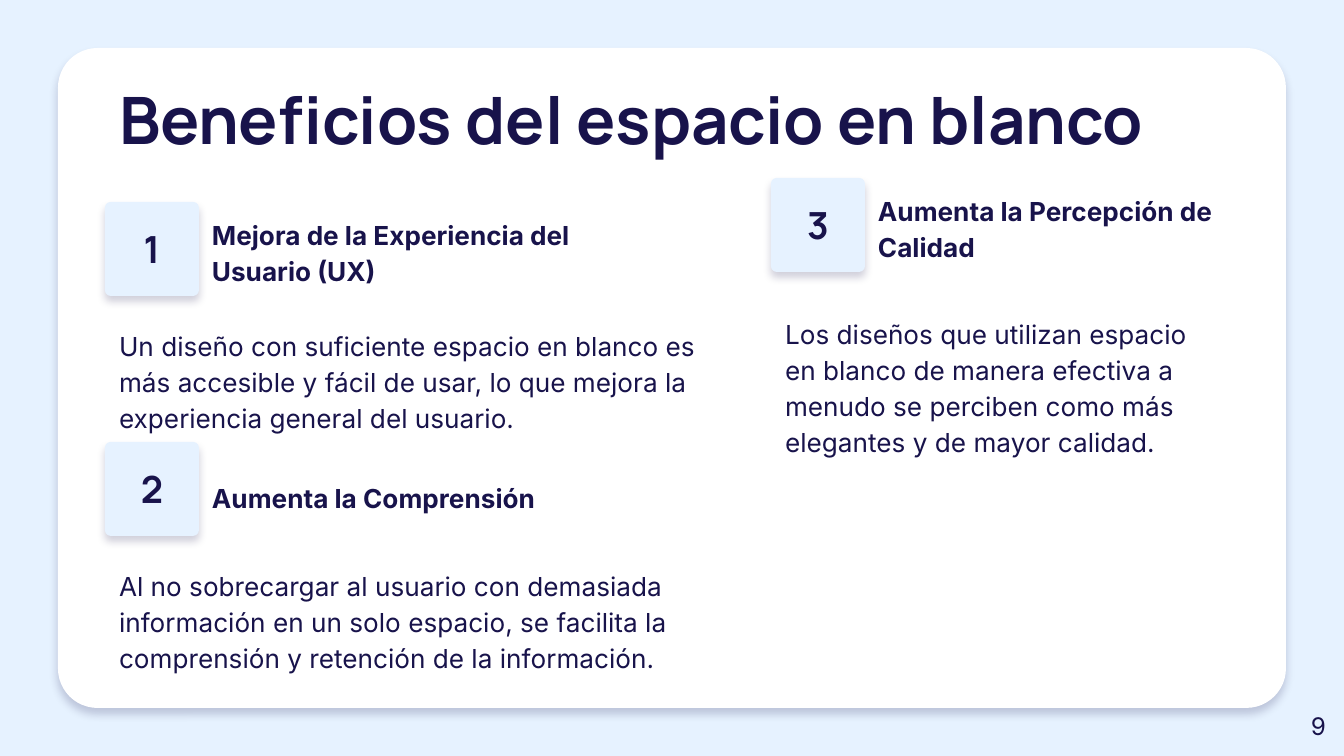
"""Builds a slide on the benefits of white space, with three numbered points."""
from lxml import etree
from pptx import Presentation
from pptx.dml.color import RGBColor
from pptx.enum.shapes import MSO_SHAPE
from pptx.enum.text import MSO_ANCHOR, MSO_AUTO_SIZE, PP_ALIGN
from pptx.oxml.ns import qn
from pptx.util import Emu, Pt

ROUNDED = MSO_SHAPE.ROUNDED_RECTANGLE
TOP, MIDDLE = MSO_ANCHOR.TOP, MSO_ANCHOR.MIDDLE
LEFT, CENTER, RIGHT = PP_ALIGN.LEFT, PP_ALIGN.CENTER, PP_ALIGN.RIGHT
NO_FIT = MSO_AUTO_SIZE.NONE

TITLE = "Beneficios del espacio en blanco"
PAGE_NUMBER = "9"
POINTS = [
    {"heading": "Mejora de la Experiencia del Usuario (UX)",
     "body": "Un diseño con suficiente espacio en blanco es más accesible y fácil de usar, "
             "lo que mejora la experiencia general del usuario.",
     "corner": (105, 202), "heading_drop": 0, "body_drop": 111, "body_width": 633},
    {"heading": "Aumenta la Comprensión",
     "body": "Al no sobrecargar al usuario con demasiada información en un solo espacio, "
             "se facilita la comprensión y retención de la información.",
     "corner": (105, 442), "heading_drop": 23, "body_drop": 111, "body_width": 633},
    {"heading": "Aumenta la Percepción de Calidad",
     "body": "Los diseños que utilizan espacio en blanco de manera efectiva a menudo se "
             "perciben como más elegantes y de mayor calidad.",
     "corner": (771, 178), "heading_drop": 0, "body_drop": 123, "body_width": 466},
]

INK, SKY, WHITE = "18134B", "E6F2FF", "FFFFFF"
DISPLAY_FONT, TEXT_FONT = "Manrope", "Inter"
PAGE_SIZE = (1344, 756)
BADGE = 94
INSET = 13


def px(length):
    return Emu(round(length * 914400 / 134.4))


def color(value):
    return RGBColor.from_string(value)


def write(shape, text, size, font=TEXT_FONT, bold=False, align=LEFT, anchor=TOP,
          line_spacing=1.0, space_after=0):
    frame = shape.text_frame
    frame.text = text
    frame.word_wrap = True
    frame.auto_size = NO_FIT
    frame.vertical_anchor = anchor
    frame.margin_left = frame.margin_right = px(INSET)
    frame.margin_top = frame.margin_bottom = px(INSET)
    para = frame.paragraphs[0]
    para.alignment = align
    para.line_spacing = line_spacing
    para.space_before = Pt(0)
    para.space_after = Pt(space_after)
    span = para.runs[0].font
    span.name, span.size, span.bold = font, Pt(size), bold
    span.color.rgb = color(INK)


def add_text(page, bounds, text, size, **style):
    box = page.shapes.add_textbox(*map(px, bounds))
    write(box, text, size, **style)


def add_panel(page, bounds, fill, shadow_distance):
    panel = page.shapes.add_shape(ROUNDED, *map(px, bounds))
    panel.adjustments[0] = 0.06
    panel.fill.solid()
    panel.fill.fore_color.rgb = color(fill)
    panel.line.fill.background()
    panel.shadow.inherit = False
    effects = panel.element.spPr.find(qn("a:effectLst"))
    shadow = etree.SubElement(
        effects, qn("a:outerShdw"), blurRad=str(Pt(4.5)), dist=str(Pt(shadow_distance)),
        dir="5400000", algn="bl", rotWithShape="0")
    tint = etree.SubElement(shadow, qn("a:srgbClr"), val=INK)
    etree.SubElement(tint, qn("a:alpha"), val="20000")
    return panel


def add_point(page, number, point):
    left, top = point["corner"]
    badge = add_panel(page, (left, top, BADGE, BADGE), SKY, 3)
    write(badge, str(number), 20, font=DISPLAY_FONT, bold=True, align=CENTER, anchor=MIDDLE)
    add_text(page, (left + BADGE, top + point["heading_drop"], 427, 47),
             point["heading"], 14, bold=True, line_spacing=1.15)
    add_text(page, (left + 1, top + point["body_drop"], point["body_width"], 113),
             point["body"], 14, line_spacing=1.15, space_after=10)


def main():
    deck = Presentation()
    deck.slide_width, deck.slide_height = map(px, PAGE_SIZE)
    page = deck.slides.add_slide(deck.slide_layouts.get_by_name("Title Only"))
    page.background.fill.solid()
    page.background.fill.fore_color.rgb = color(SKY)

    card = add_panel(page, (58, 48, 1228, 660), WHITE, 3.8)
    title = page.shapes.title
    title.element.addprevious(card.element)
    title.left, title.top, title.width, title.height = map(px, (106, 66, 1133, 85))
    write(title, TITLE, 35, font=DISPLAY_FONT, bold=True)

    for number, point in enumerate(POINTS, 1):
        add_point(page, number, point)
    add_text(page, (1258, 698, 81, 58), PAGE_NUMBER, 13, align=RIGHT)
    deck.save("out.pptx")


if __name__ == "__main__":
    main()
